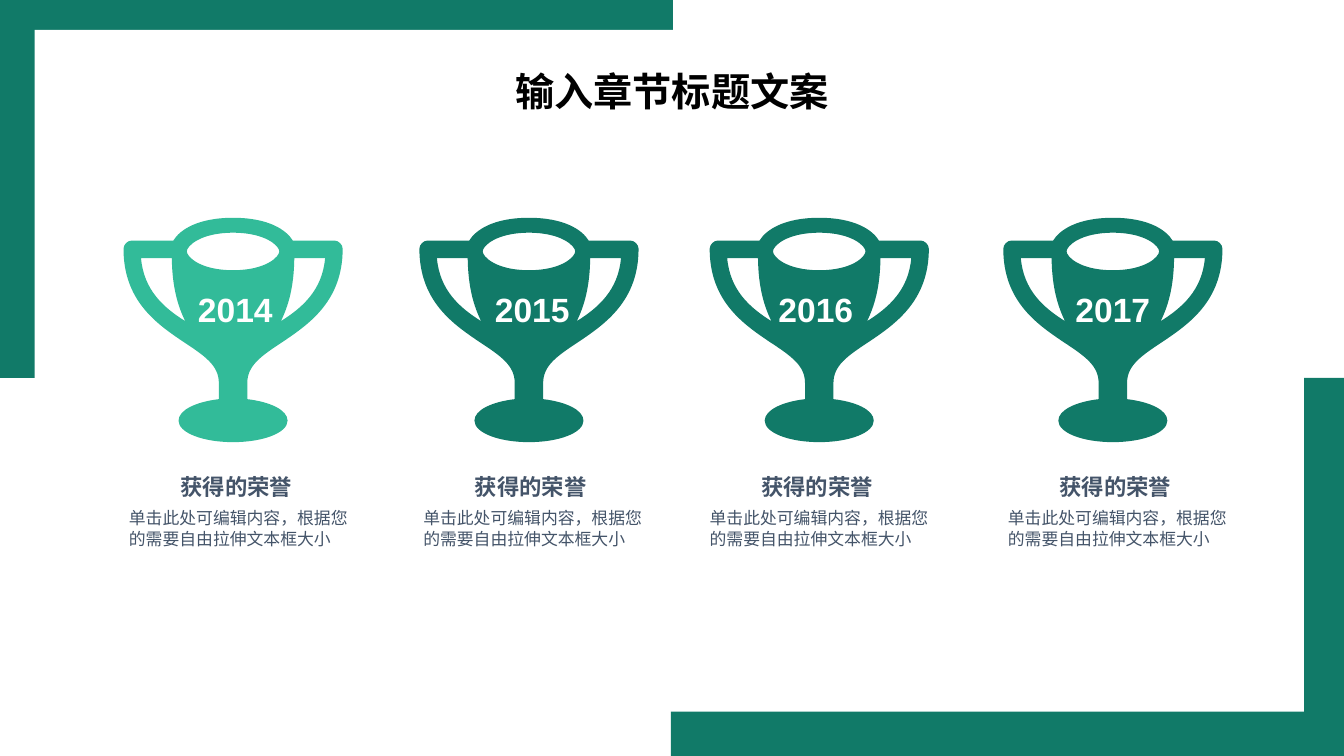
from lxml.etree import SubElement
from pptx import Presentation
from pptx.dml.color import RGBColor
from pptx.enum.shapes import MSO_SHAPE
from pptx.enum.text import MSO_AUTO_SIZE, PP_ALIGN
from pptx.oxml.ns import qn
from pptx.util import Pt

GREEN, MINT, WHITE, SLATE, BLACK = "117A68", "32BB99", "FFFFFF", "445469", "000000"

CUP_HALF = [
    [(0, 0)],
    [(19, 0), (28.5, 6.5), (32, 12.2)],
    [(54.3, 12.2)],
    [(56.5, 12.2), (58.7, 14.4), (58.7, 16.6)],
    [(58.7, 44.6), (40.7, 56.9), (27, 66.2)],
    [(14.8, 74.2), (7.6, 79.2), (7.6, 88.6)],
    [(7.6, 97.2)],
    [(19.8, 98.6), (29.2, 103), (29.2, 108.7)],
    [(29.2, 115.2), (16.2, 120.2), (0, 120.2)],
]
MOUTH_HALF = [
    [(0, 8)],
    [(17.6, 8), (24.8, 15.2), (24.8, 18)],
    [(24.8, 20.9), (17.6, 28.1), (0, 28.1)],
]
HANDLE_HOLE = [
    [(25.6, 55.4)],
    [(29.5, 47.5), (32.6, 37.4), (32.8, 21.6)],
    [(49.3, 21.6)],
    [(47.8, 38.9), (37.1, 48.2), (25.6, 55.4)],
]
CUP_HALF_WIDTH = 58.7


def color(value):
    return RGBColor.from_string(value)


def mirror(segments):
    points = [[(-x, y) for x, y in segment] for segment in segments]
    mirrored = [[points[-1][-1]]]
    for previous, segment in reversed(list(zip(points, points[1:]))):
        mirrored.append(segment[-2::-1] + [previous[-1]] if len(segment) > 1 else [previous[-1]])
    return mirrored


def symmetric(half):
    return half + mirror(half)[1:]


TROPHY = [symmetric(CUP_HALF), symmetric(MOUTH_HALF), HANDLE_HOLE, mirror(HANDLE_HOLE)]


class SlideBuilder:
    styles = {
        "title": {"size": Pt(21), "name": "Calibri", "bold": True, "color": BLACK},
        "year": {"size": Pt(18), "name": "Arial", "bold": True, "color": WHITE},
        "heading": {"size": Pt(12), "name": "Arial", "bold": True, "color": SLATE},
        "body": {"size": Pt(9), "name": "Arial", "bold": False, "color": SLATE},
    }

    def __init__(self, slide):
        self.slide = slide

    def paint(self, shape, fill):
        shape.shadow.inherit = False
        shape.fill.solid()
        shape.fill.fore_color.rgb = color(fill)
        shape.line.fill.background()

    def rectangle(self, box, fill):
        shape = self.slide.shapes.add_shape(MSO_SHAPE.RECTANGLE, *map(Pt, box))
        self.paint(shape, fill)

    def trophy(self, center, top, fill):
        builder = self.slide.shapes.build_freeform(Pt(center), Pt(top))
        for contour in TROPHY:
            corners = [(Pt(center + s[-1][0]), Pt(top + s[-1][1])) for s in contour]
            builder.move_to(*corners[0])
            builder.add_line_segments(corners[1:], close=True)
        shape = builder.convert_to_shape()
        self.bend(shape)
        self.paint(shape, fill)

    def bend(self, shape):
        segments = [segment for contour in TROPHY for segment in contour[1:]]
        for line, segment in zip(list(shape.element.iter(qn("a:lnTo"))), segments):
            if len(segment) == 1:
                continue
            line.tag = qn("a:cubicBezTo")
            for index, (x, y) in enumerate(segment[:-1]):
                point = SubElement(line, qn("a:pt"))
                point.set("x", str(int(Pt(x + CUP_HALF_WIDTH))))
                point.set("y", str(int(Pt(y))))
                line.insert(index, point)

    def text(self, box, content, style, align=PP_ALIGN.CENTER, insets=(0, 0)):
        frame = self.slide.shapes.add_textbox(*map(Pt, box)).text_frame
        horizontal, vertical = map(Pt, insets)
        settings = {
            "word_wrap": True,
            "auto_size": MSO_AUTO_SIZE.SHAPE_TO_FIT_TEXT,
            "margin_left": horizontal,
            "margin_right": horizontal,
            "margin_top": vertical,
            "margin_bottom": vertical,
        }
        for name, value in settings.items():
            setattr(frame, name, value)
        paragraph = frame.paragraphs[0]
        paragraph.alignment = align
        run = paragraph.add_run()
        run.text = content
        for name, value in self.styles[style].items():
            if name == "color":
                run.font.color.rgb = color(value)
            else:
                setattr(run.font, name, value)


def main():
    presentation = Presentation()
    presentation.slide_width, presentation.slide_height = Pt(720), Pt(405)
    slide = presentation.slides.add_slide(presentation.slide_layouts[6])
    builder = SlideBuilder(slide)

    builder.rectangle((0, 0, 360.5, 202.5), GREEN)
    builder.rectangle((359.5, 202.5, 360.5, 202.5), GREEN)
    builder.rectangle((18.5, 16, 680, 365.3), WHITE)

    awards = [
        ("2014", MINT, 124.9, 99.4, 69.1),
        ("2015", GREEN, 283.4, 258.5, 226.8),
        ("2016", GREEN, 438.9, 410.4, 380.2),
        ("2017", GREEN, 596.2, 569.5, 540),
    ]
    for year, fill, center, year_left, caption_left in awards:
        builder.trophy(center, 116.7, fill)
        builder.text((year_left, 154.8, 53.3, 21.6), year, "year")
        builder.text((caption_left, 253.4, 115.2, 14.4), "获得的荣誉", "heading")
        builder.text(
            (caption_left, 272.2, 119.5, 21.6),
            "单击此处可编辑内容，根据您的需要自由拉伸文本框大小",
            "body",
            PP_ALIGN.LEFT,
        )
    builder.text((246.2, 32.4, 227.5, 32.4), "输入章节标题文案", "title", insets=(7.2, 3.6))

    presentation.save("out.pptx")


if __name__ == "__main__":
    main()
